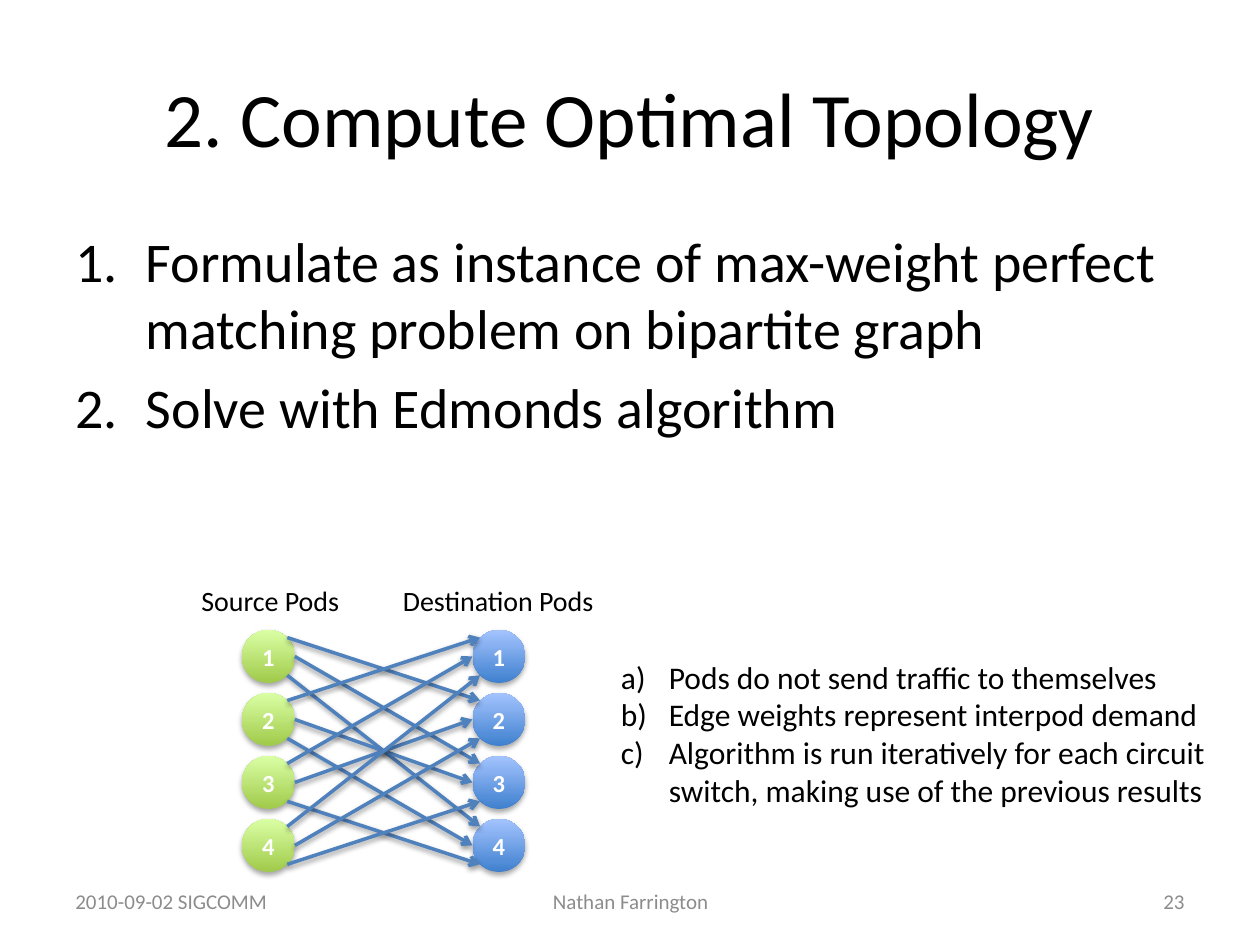
from lxml.etree import SubElement
from pptx import Presentation
from pptx.dml.color import RGBColor
from pptx.enum.shapes import MSO_CONNECTOR as LINK, MSO_SHAPE as SHAPE
from pptx.enum.text import MSO_ANCHOR as ANCHOR, PP_ALIGN as ALIGN
from pptx.oxml.ns import qn
from pptx.util import Inches, Pt

COLORS = {
    "text": "000000", "muted": "8C8C8C", "white": "FFFFFF", "link": "4F81BD",
    "green": "A0CA4A", "lime": "DAFFA5", "blue": "3F80CE", "sky": "A4C4FF",
}
FONT = "Calibri"
PODS = range(4)
SIZE, STEP, GAP = 0.42, 0.5, 1.83  # pod width, row pitch, column pitch
RISE, INSET = 0.15, 0.06  # of the diagonal ports on a pod


def rgb(name):
    return RGBColor.from_string(COLORS[name])


def style(par, size, color="text", align=ALIGN.LEFT, bold=False):
    par.alignment = align
    font = par.font
    font.name, font.size, font.bold = FONT, Pt(size), bold
    font.color.rgb = rgb(color)


def add_text(shapes, box, text, size, color="text", align=ALIGN.LEFT,
             anchor=ANCHOR.MIDDLE, wrap=True):
    frame = shapes.add_textbox(*map(Inches, box)).text_frame
    frame.word_wrap, frame.vertical_anchor = wrap, anchor
    frame.text = text
    for par in frame.paragraphs:
        style(par, size, color, align)
    return frame


def add_list(shapes, box, items, size, scheme, indent, space=0):
    """Numbered list with a hanging indent, in inches."""
    frame = add_text(shapes, box, "\n".join(items), size, anchor=ANCHOR.TOP)
    for row, par in enumerate(frame.paragraphs):
        props = par._p.get_or_add_pPr()
        props.set("marL", str(Inches(indent)))
        props.set("indent", str(-Inches(indent)))
        if row and space:
            par.space_before = Pt(space)
        mark = SubElement(props, qn("a:buAutoNum"), type=scheme)
        props.remove(mark)
        props.insert_element_before(mark, "a:tabLst", "a:defRPr")


def cast(effects, alpha, dist):
    """Soft shadow straight below."""
    drop = SubElement(effects, qn("a:outerShdw"), blurRad=str(Pt(3.1)),
                      dist=str(Pt(dist)), dir="5400000", rotWithShape="0")
    tint = SubElement(drop, qn("a:srgbClr"), val="000000")
    SubElement(tint, qn("a:alpha"), val=str(alpha * 1000))


def add_pod(shapes, left, top, label, dark, light):
    pod = shapes.add_shape(SHAPE.OVAL, *map(Inches, (left, top, SIZE, SIZE)))
    pod.fill.gradient()
    pod.fill.gradient_angle = 90
    for stop, name in zip(pod.fill.gradient_stops, (dark, light)):
        stop.color.rgb = rgb(name)
    pod.line.fill.background()
    pod.shadow.inherit = False
    cast(pod._element.spPr.find(qn("a:effectLst")), 35, 1.8)
    frame = pod.text_frame
    frame.margin_left = frame.margin_right = 0
    frame.vertical_anchor = ANCHOR.MIDDLE
    frame.text = label
    style(frame.paragraphs[0], 14, "white", ALIGN.CENTER, True)


def port(edge, top, row, other, inward):
    """Point on a pod's side: upper, middle or lower, by rank of the other pod."""
    rank = other - (other > row) - 1
    x = edge + inward * INSET * abs(rank)
    return Inches(x), Inches(top + row * STEP + SIZE / 2 + rank * RISE)


def add_arrow(shapes, start, end):
    arrow = shapes.add_connector(LINK.STRAIGHT, *start, *end)
    arrow.line.color.rgb = rgb("link")
    arrow.line.width = Pt(2)
    SubElement(arrow.line._get_or_add_ln(), qn("a:tailEnd"), type="arrow")
    cast(SubElement(arrow._element.spPr, qn("a:effectLst")), 38, 1.6)


def add_graph(slide, left, top):
    """Bipartite graph of pods, with its labels above."""
    shapes = slide.shapes.add_group_shape().shapes
    source, target, first = left + 0.42, left + 0.42 + GAP, top + 0.42
    for x, dark, light in ((source, "green", "lime"), (target, "blue", "sky")):
        for row in PODS:
            add_pod(shapes, x, first + row * STEP, str(row + 1), dark, light)
    for src in PODS:
        for dst in PODS:
            if src != dst:
                add_arrow(shapes, port(source + SIZE, first, src, dst, -1),
                          port(target, first, dst, src, 1))
    for x, width, label in ((0, 1.31, "Source Pods"),
                            (1.6, 1.73, "Destination Pods")):
        add_text(shapes, (left + x, top, width, 0.37), label, 16,
                 anchor=ANCHOR.TOP, wrap=False)


def add_footer(slide, top):
    for left, width, text, align in (
            (0.5, 2.33, "2010-09-02 SIGCOMM", ALIGN.LEFT),
            (3.42, 3.17, "Nathan Farrington", ALIGN.CENTER),
            (7.17, 2.33, "23", ALIGN.RIGHT)):
        add_text(slide.shapes, (left, top, width, 0.4), text, 12, "muted", align)


def main():
    deck = Presentation()
    deck.slide_width, deck.slide_height = Inches(10), Inches(7.5)
    slide = deck.slides.add_slide(deck.slide_layouts[6])
    add_text(slide.shapes, (0.5, 0.3, 9, 1.25), "2. Compute Optimal Topology",
             44, align=ALIGN.CENTER)
    add_list(slide.shapes, (0.5, 1.75, 9, 2.58), (
        "Formulate as instance of max-weight perfect matching problem "
        "on bipartite graph",
        "Solve with Edmonds algorithm"), 32, "arabicPeriod", 0.56, 6.4)
    add_footer(slide, 6.95)
    add_graph(slide, 1.5, 4.58)
    add_list(slide.shapes, (4.83, 5.17, 4.84, 1.31), (
        "Pods do not send traffic to themselves",
        "Edge weights represent interpod demand",
        "Algorithm is run iteratively for each circuit switch, "
        "making use of the previous results"), 18, "alphaLcParenR", 0.38)
    deck.save("out.pptx")


if __name__ == "__main__":
    main()
